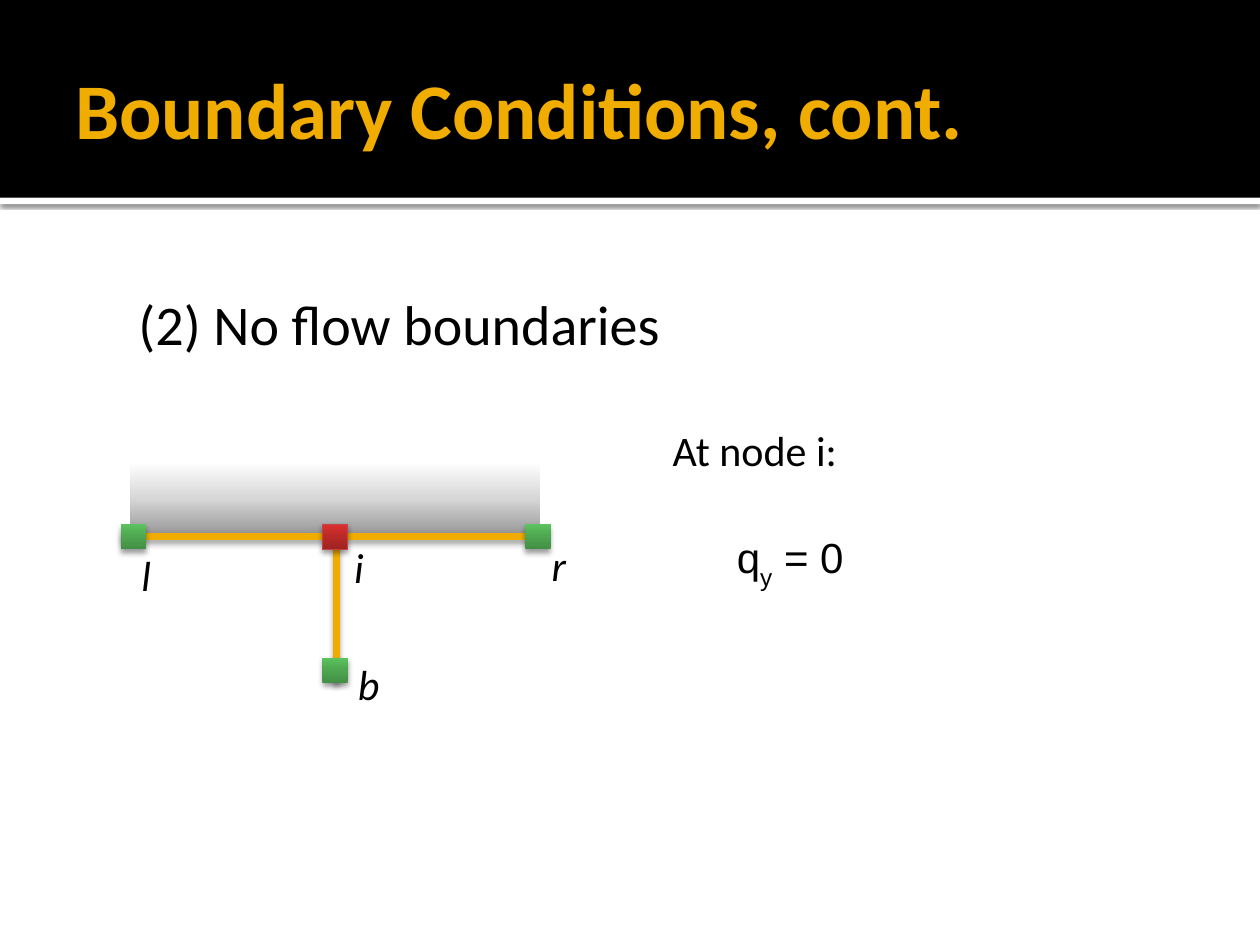
from lxml.etree import SubElement
from pptx import Presentation
from pptx.dml.color import RGBColor
from pptx.enum.shapes import MSO_CONNECTOR, MSO_SHAPE
from pptx.enum.text import MSO_ANCHOR, MSO_AUTO_SIZE, PP_ALIGN
from pptx.oxml.ns import qn
from pptx.util import Inches, Pt

BLACK, WHITE, GOLD = "000000", "FFFFFF", "F0AD00"
GREY = [(0, "979797"), (50, "D7D7D7"), (100, "FFFFFF")]
RED = [(0, "A02322"), (55, "BC2A28"), (100, "DC302F")]
GREEN = [(0, "438F45"), (55, "4FA851"), (100, "5CC35F")]

TITLE = "Boundary Conditions, cont."
HEADING = "(2) No flow boundaries"
CONDITION = "At node i:"
EQUATION = [("q", 0), ("y", -30), (" = 0", 0)]

NODE = 0.2
LEFT, MIDDLE, RIGHT = 1.06, 2.66, 4.27
TOP, BOTTOM = 4.26, 5.32
LINKS = [((0.96, TOP), (4.33, TOP)), ((2.67, 4.28), (2.67, 5.42))]
NODES = [
    (MIDDLE, TOP, RED, "C54342"),
    (RIGHT, TOP, GREEN, None),
    (LEFT, TOP, GREEN, None),
    (MIDDLE, BOTTOM, GREEN, None),
]
LABELS = [
    ("i", 2.77, 4.3, 0.16, True),
    ("b", 2.84, 5.23, 0.17, False),
    ("l", 1.08, 4.36, 0.16, True),
    ("r", 4.32, 4.28, 0.23, True),
]


def rgb(color):
    return RGBColor.from_string(color)


def add_shadow(sp, alpha, blur, dist):
    spPr = sp._element.spPr
    effects = spPr.find(qn("a:effectLst"))
    if effects is None:
        effects = SubElement(spPr, qn("a:effectLst"))
    outer = SubElement(effects, qn("a:outerShdw"), blurRad=str(Pt(blur)),
                       dist=str(Pt(dist)), dir="5400000", rotWithShape="0")
    clr = SubElement(outer, qn("a:srgbClr"), val=BLACK)
    SubElement(clr, qn("a:alpha"), val=str(alpha * 1000))


def add_rect(s, x, y, w, h, fill, angle=0, line=None):
    sp = s.shapes.add_shape(MSO_SHAPE.RECTANGLE, Inches(x), Inches(y), Inches(w), Inches(h))
    if isinstance(fill, str):
        sp.fill.solid()
        sp.fill.fore_color.rgb = rgb(fill)
    else:
        sp.fill.gradient()
        sp.fill.gradient_angle = angle
        stops = sp._element.spPr.find(qn("a:gradFill")).find(qn("a:gsLst"))
        for stop in list(stops):
            stops.remove(stop)
        for pos, color in fill:
            gs = SubElement(stops, qn("a:gs"), pos=str(pos * 1000))
            SubElement(gs, qn("a:srgbClr"), val=color)
    if line:
        sp.line.color.rgb = rgb(line)
        sp.line.width = Pt(0.5)
    else:
        sp.line.fill.background()
    sp.shadow.inherit = False
    return sp


def add_link(s, start, end):
    ln = s.shapes.add_connector(MSO_CONNECTOR.STRAIGHT, *map(Inches, start + end))
    ln.line.color.rgb = rgb(GOLD)
    ln.line.width = Pt(3.78)
    add_shadow(ln, 38, 3.5, 2)


def add_text(s, x, y, w, h, runs, size=24, font="Calibri", color=BLACK, bold=False,
             italic=False, wrap=True, grow=True, anchor=MSO_ANCHOR.TOP,
             align=PP_ALIGN.LEFT, insets=(0.1, 0.05, 0.1, 0.05)):
    tf = s.shapes.add_textbox(Inches(x), Inches(y), Inches(w), Inches(h)).text_frame
    tf.word_wrap = wrap
    tf.auto_size = MSO_AUTO_SIZE.SHAPE_TO_FIT_TEXT if grow else MSO_AUTO_SIZE.NONE
    tf.vertical_anchor = anchor
    tf.margin_left, tf.margin_top, tf.margin_right, tf.margin_bottom = map(Inches, insets)
    p = tf.paragraphs[0]
    p.alignment = align
    for text, baseline in runs:
        r = p.add_run()
        r.text = text
        r.font.size = Pt(size)
        r.font.name = font
        r.font.bold = bold
        r.font.italic = italic
        r.font.color.rgb = rgb(color)
        if baseline:
            r.font._element.set("baseline", str(baseline * 1000))


def main():
    prs = Presentation()
    prs.slide_width, prs.slide_height = Inches(10), Inches(7.5)
    s = prs.slides.add_slide(prs.slide_layouts[6])

    add_shadow(add_rect(s, 0, 1.57, 10, 0.05, WHITE), 60, 2.5, 0.8)
    add_rect(s, 0, 0, 10, 1.57, BLACK)
    wall = add_rect(s, 2.37, 2.33, 0.58, 3.25, GREY)
    wall.rotation = 270

    add_text(s, 0.5, 0.17, 9, 1.37, [(TITLE, 0)], size=45, color=GOLD, bold=True,
             grow=False, anchor=MSO_ANCHOR.MIDDLE, insets=(0.1, 0.05, 0.05, 0.05))
    add_text(s, 1, 2.25, 6.25, 0.63, [(HEADING, 0)], size=32)
    add_text(s, 5.24, 3.32, 1.54, 0.5, [(CONDITION, 0)], wrap=False, anchor=MSO_ANCHOR.MIDDLE)
    add_text(s, 5.75, 4.17, 1.07, 0.5, EQUATION, font="Arial", wrap=False)

    for start, end in LINKS:
        add_link(s, start, end)
    for text, x, y, w, centred in LABELS:
        add_text(s, x, y, w, 0.4, [(text, 0)], italic=True, wrap=centred, insets=(0, 0, 0, 0),
                 align=PP_ALIGN.CENTER if centred else PP_ALIGN.LEFT)
    for x, y, fill, line in NODES:
        node = add_rect(s, x - NODE / 2, y - NODE / 2, NODE, NODE, fill, 90, line)
        add_shadow(node, 38, 3.1, 2)

    prs.save("out.pptx")


if __name__ == "__main__":
    main()
